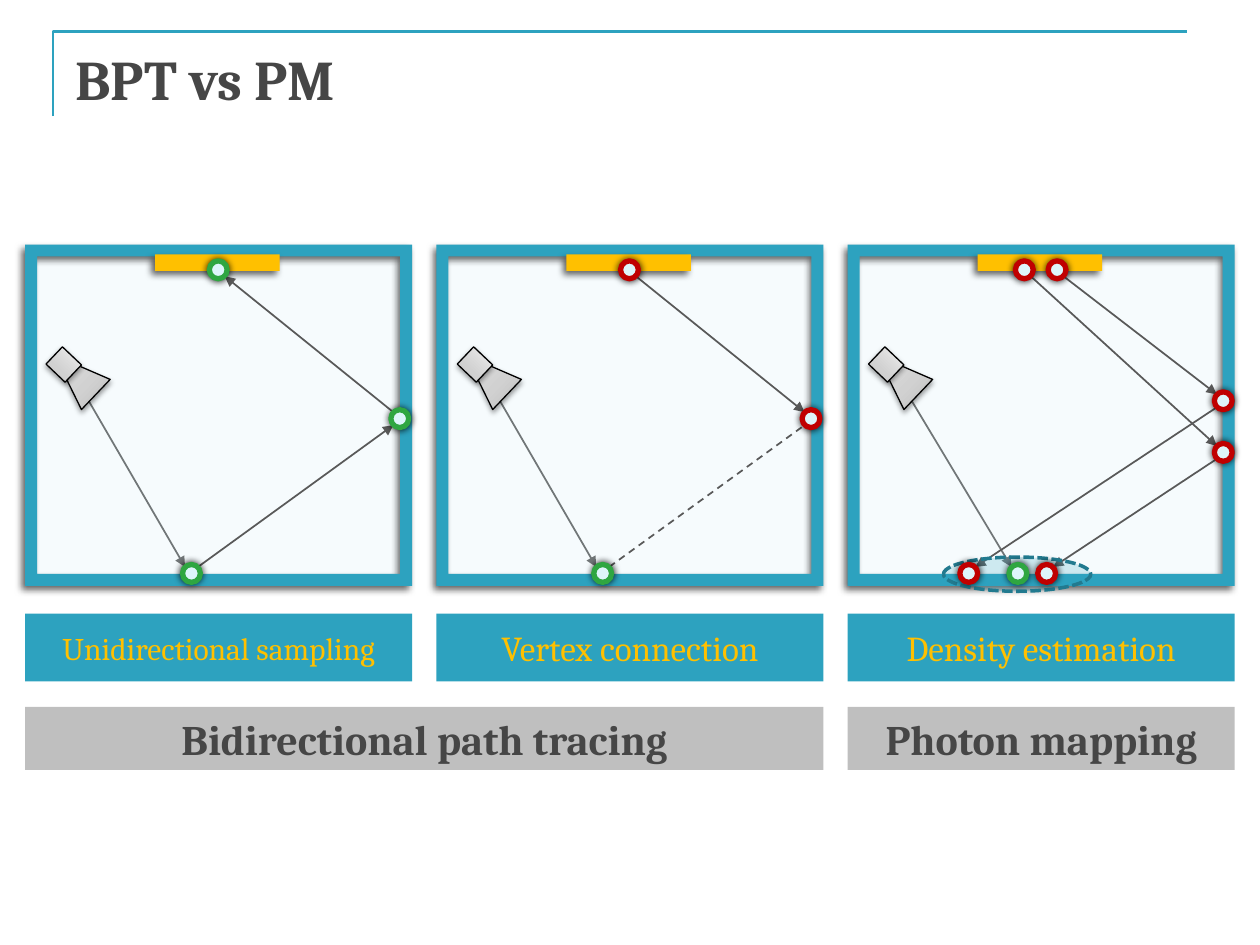
import pptx
import pptx.dml.color
import pptx.enum.dml
import pptx.enum.shapes
import pptx.enum.text
import pptx.oxml
import pptx.oxml.ns
import pptx.util

Cm, Pt = pptx.util.Cm, pptx.util.Pt
RGB = pptx.dml.color.RGBColor
KIND = pptx.enum.shapes.MSO_SHAPE
DASH = pptx.enum.dml.MSO_LINE

TEAL = RGB(0x2D, 0xA2, 0xBF)
DARK_TEAL = RGB(0x22, 0x7A, 0x8F)
MIST = RGB(0xD3, 0xEE, 0xF5)
PALE = RGB(0xDE, 0xF5, 0xFA)
GOLD = RGB(0xFF, 0xC0, 0x00)
GREEN = RGB(0x2F, 0xA6, 0x41)
RED = RGB(0xC0, 0x00, 0x00)
BLACK = RGB(0, 0, 0)
INK = RGB(0x46, 0x46, 0x46)
GREY = RGB(0x59, 0x59, 0x59)
METAL = ((0, "BDBDBD"), (35, "D1D1D1"), (100, "EEEEEE"))

LEFT, PITCH, WIDE = 0.51, 8.29, 7.8
FONT = "Cambria"
SOFT = (60, 4, 3, 129)
FAINT = (38, 3.1, 1.6, 90)
HALO = (80, 4, 0, 129)


def node(tag, body="", **attrs):
    """Make one drawing element from its tag, inner XML and attributes."""
    text = " ".join(f'{key}="{val}"' for key, val in attrs.items())
    space = pptx.oxml.ns.nsdecls("a")
    return pptx.oxml.parse_xml(f"<a:{tag} {space} {text}>{body}</a:{tag}>")


def add(shapes, kind, box, fill=None, alpha=100, line=None, width=1, shadow=None):
    """Add a preset shape with its fill, outline and shadow."""
    shape = shapes.add_shape(kind, *map(Cm, box))
    shape.shadow.inherit = False
    if fill is None:
        shape.fill.gradient()
        shape.fill.gradient_angle = 90
        stops = shape.element.spPr.xpath(".//a:gsLst")[0]
        stops.clear()
        for spot, tone in METAL:
            stops.append(node("gs", f'<a:srgbClr val="{tone}"/>', pos=spot * 1000))
    else:
        shape.fill.solid()
        shape.fill.fore_color.rgb = fill
    if alpha < 100:
        tint = shape.element.spPr.xpath("./a:solidFill/a:srgbClr")[0]
        tint.append(node("alpha", val=alpha * 1000))
    if line is None:
        shape.line.fill.background()
    else:
        shape.line.color.rgb = line
        shape.line.width = Pt(width)
    if shadow:
        dark, blur, dist, turn = shadow
        tone = f'<a:srgbClr val="000000"><a:alpha val="{dark * 1000}"/></a:srgbClr>'
        cast = node("outerShdw", tone, blurRad=Pt(blur), dist=Pt(dist),
                    dir=turn * 60000, algn="ctr", rotWithShape=0)
        shape.element.spPr.xpath("./a:effectLst")[0].append(cast)
    return shape


def write(frame, text, size, color, bold=False, align=pptx.enum.text.PP_ALIGN.CENTER):
    """Put one styled run into a text frame."""
    frame.word_wrap = True
    para = frame.paragraphs[0]
    para.alignment = align
    run = para.add_run()
    run.text = text
    run.font.name, run.font.size, run.font.bold = FONT, Pt(size), bold
    run.font.color.rgb = color


def label(shapes, box, text, size, fill, color, alpha=100, bold=False):
    """Add a filled bar with centred text."""
    bar = add(shapes, KIND.RECTANGLE, box, fill, alpha)
    bar.text_frame.vertical_anchor = pptx.enum.text.MSO_ANCHOR.MIDDLE
    write(bar.text_frame, text, size, color, bold)


def ray(shapes, start, end, dash=False):
    """Draw a light ray, dashed without a head or solid with one."""
    link = shapes.add_connector(pptx.enum.shapes.MSO_CONNECTOR.STRAIGHT,
                                *map(Cm, start + end))
    link.line.color.rgb = GREY
    link.line.width = Pt(1)
    if dash:
        link.line.dash_style = DASH.DASH
    else:
        link.line.fill.solid()
        link.line.fill.fore_color.rgb = GREY
        link.element.spPr.xpath("./a:ln")[0].append(node("tailEnd", type="triangle"))
    link.element.spPr.append(node("effectLst"))


def trim(spot, other, gap=0.13):
    """Move a vertex centre to the rim of its ring, towards another point."""
    return tuple(a + (gap if b > a else -gap) for a, b in zip(spot, other))


def room(shapes, x, y):
    """Draw the room with its walls, lamp and camera."""
    parts = shapes.add_group_shape().shapes
    box = (x, y, WIDE, 6.88)
    add(parts, KIND.RECTANGLE, box, MIST, 20)
    wall = add(parts, KIND.FRAME, box, TEAL, shadow=SOFT)
    wall.adjustments[0] = 0.035
    add(parts, KIND.RECTANGLE, (x + 2.62, y + 0.2, 2.51, 0.33), GOLD, shadow=SOFT)
    lens = add(parts, KIND.ISOSCELES_TRIANGLE, (x + 0.59, y + 2.06, 0.84, 1.14),
               line=BLACK, width=0.75, shadow=FAINT)
    lens.rotation = 313.6
    body = add(parts, KIND.RECTANGLE, (x + 0.51, y + 2.18, 0.53, 0.48),
               line=BLACK, width=0.75, shadow=FAINT)
    body.rotation = 43.5


def panel(shapes, x, y, seen, rays, rings, zone=None):
    """Draw one scene: the camera ray, the room, its rays and its vertices."""
    def put(spot):
        """Shift a point into the panel."""
        return x + spot[0], y + spot[1]

    eye = put((0.97, 2.62))
    ray(shapes, eye, trim(put(seen), eye))
    room(shapes, x, y)
    for start, end, dash in rays:
        a, b = put(start), put(end)
        ray(shapes, trim(a, b), trim(b, a), dash)
    if zone:
        oval = add(shapes, KIND.OVAL, put(zone[:2]) + zone[2:], TEAL, 20, DARK_TEAL, 2)
        oval.line.dash_style = DASH.SQUARE_DOT
    for spot, color in rings:
        a, b = put(spot)
        add(shapes, KIND.OVAL, (a - 0.18, b - 0.18, 0.36, 0.36), PALE,
            line=color, width=3, shadow=HALO)


def title(shapes, x, y, text):
    """Draw the title and its corner rule."""
    pen = shapes.build_freeform(Cm(x), Cm(y + 1.7))
    pen.add_line_segments([(Cm(x), Cm(y)), (Cm(x + 22.86), Cm(y))], close=False)
    rule = pen.convert_to_shape()
    rule.shadow.inherit = False
    rule.fill.background()
    rule.line.color.rgb = TEAL
    rule.line.width = Pt(1.5)
    box = shapes.add_textbox(Cm(x + 0.2), Cm(y + 0.13), Cm(22.86), Cm(3.18))
    write(box.text_frame, text, 32, INK, True, pptx.enum.text.PP_ALIGN.LEFT)


def main():
    """Build the slide and save it."""
    deck = pptx.Presentation()
    deck.slide_width, deck.slide_height = Cm(25.4), Cm(19.05)
    shapes = deck.slides.add_slide(deck.slide_layouts[6]).shapes
    title(shapes, 1.07, 0.64, "BPT vs PM")

    floor, wall, lamp = (3.35, 6.63), (7.55, 3.51), (3.89, 0.51)
    near, far = (4.22, 0.51), (3.56, 0.51)
    high, low = (7.57, 3.15), (7.57, 4.19)
    hit, one, two = (3.43, 6.63), (2.44, 6.63), (4.01, 6.63)
    scenes = [
        ("Unidirectional sampling", 18, floor,
         [(floor, wall, False), (wall, lamp, False)],
         [(floor, GREEN), (wall, GREEN), (lamp, GREEN)], None),
        ("Vertex connection", 20, floor,
         [(floor, wall, True), (lamp, wall, False)],
         [(floor, GREEN), (wall, RED), (lamp, RED)], None),
        ("Density estimation", 20, hit,
         [(near, high, False), (far, low, False), (high, one, False), (low, two, False)],
         [(near, RED), (far, RED), (high, RED), (low, RED),
          (hit, GREEN), (two, RED), (one, RED)], (1.93, 6.3, 2.97, 0.69)),
    ]
    for i, (text, size, seen, rays, rings, zone) in enumerate(scenes):
        x = LEFT + i * PITCH
        panel(shapes, x, 4.93, seen, rays, rings, zone)
        label(shapes, (x, 12.37, WIDE, 1.37), text, size, TEAL, GOLD)

    for i, span, text in ((0, 2, "Bidirectional path tracing"), (2, 1, "Photon mapping")):
        box = (LEFT + i * PITCH, 14.25, (span - 1) * PITCH + WIDE, 1.27)
        label(shapes, box, text, 24, BLACK, INK, 25, True)
    deck.save("out.pptx")


if __name__ == "__main__":
    main()
